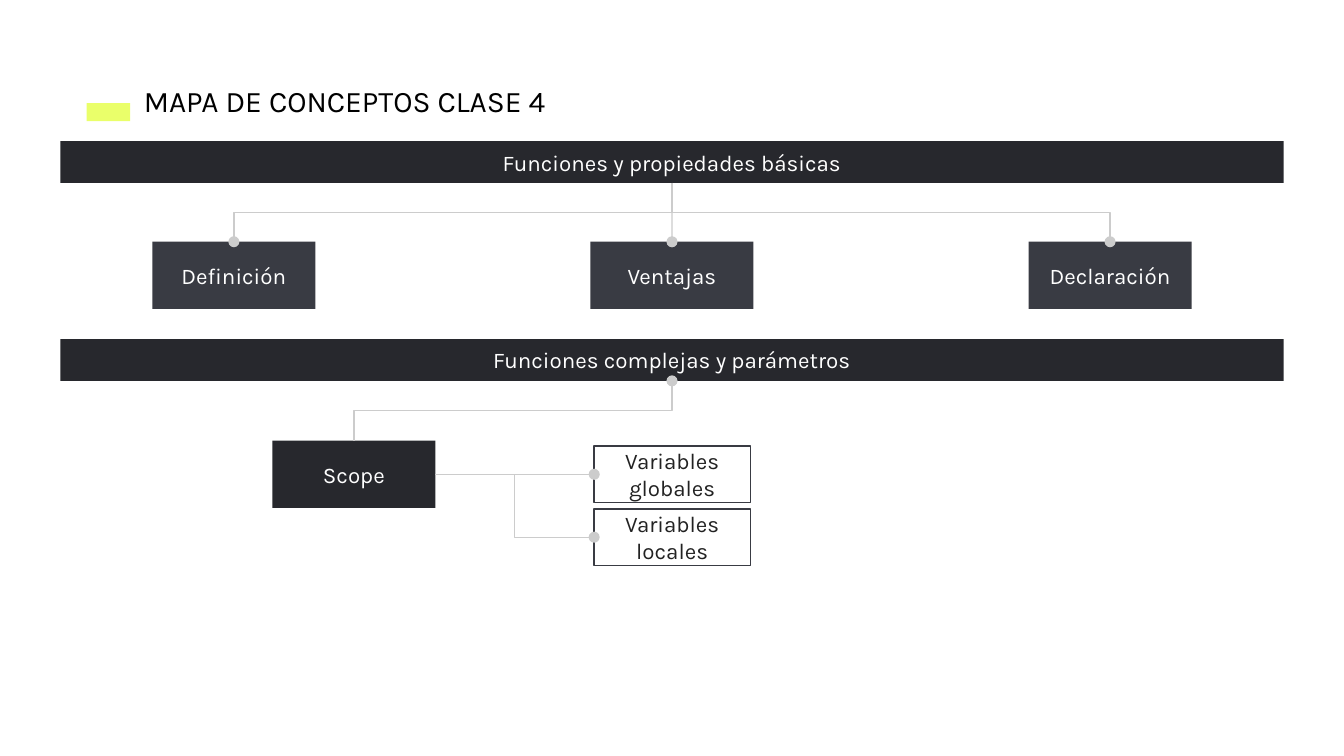
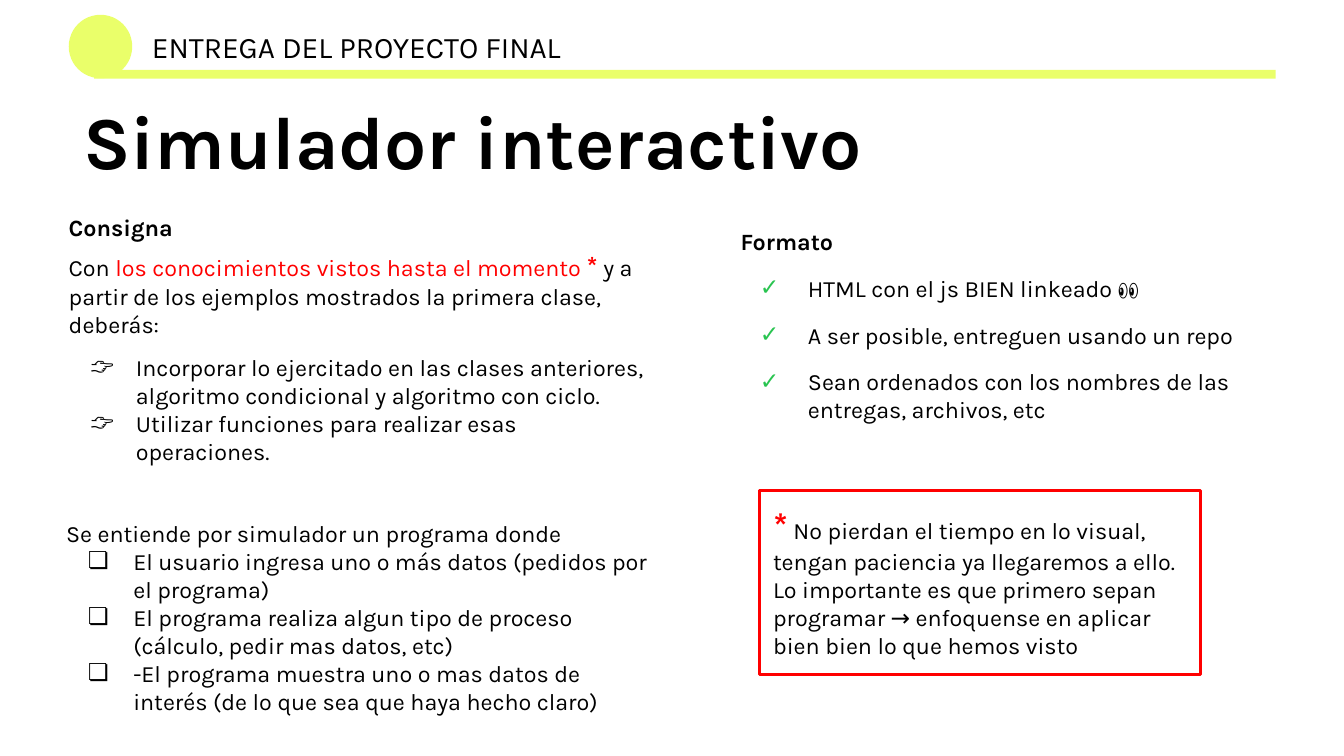
"""Builds two class slides: a concept map and the final project brief."""
from lxml.etree import SubElement
from pptx import Presentation
from pptx.dml.color import RGBColor
from pptx.enum.shapes import MSO_CONNECTOR, MSO_SHAPE
from pptx.enum.text import MSO_ANCHOR, PP_ALIGN
from pptx.oxml.ns import qn
from pptx.util import Cm, Pt

FONT = "Karla"
LIME = RGBColor(0xEA, 0xFF, 0x6A)
DARK = RGBColor(0x27, 0x28, 0x2D)
SLATE = RGBColor(0x39, 0x3B, 0x43)
GREY = RGBColor(0xCC, 0xCC, 0xCC)
INK = RGBColor(0x22, 0x22, 0x22)
BLACK = RGBColor(0, 0, 0)
WHITE = RGBColor(0xFF, 0xFF, 0xFF)
RED = RGBColor(0xFF, 0, 0)
GREEN = RGBColor(0x29, 0xC4, 0x50)
BODY = 12.5


def box(slide, x, y, w, h, fill=None, line=None, width=0.75, kind=MSO_SHAPE.RECTANGLE):
    place = Cm(x), Cm(y), Cm(w), Cm(h)
    if fill is None and line is None:
        shape = slide.shapes.add_textbox(*place)
    else:
        shape = slide.shapes.add_shape(kind, *place)
        shape.shadow.inherit = False
        if fill is None:
            shape.fill.background()
        else:
            shape.fill.solid()
            shape.fill.fore_color.rgb = fill
        if line is None:
            shape.line.fill.background()
        else:
            shape.line.color.rgb = line
            shape.line.width = Pt(width)
    frame = shape.text_frame
    frame.word_wrap = True
    frame.margin_left = frame.margin_right = Cm(0.25)
    frame.margin_top = frame.margin_bottom = Cm(0.25)
    return shape


def write(shape, text, size=BODY, color=BLACK, bold=False, align=PP_ALIGN.LEFT,
          mark=None, tint=BLACK, hang=0.86, before=0):
    frame = shape.text_frame
    para = frame.add_paragraph() if frame.text else frame.paragraphs[0]
    para.alignment = align
    if before:
        para.space_before = Pt(before)
    if mark:
        props = para._p.get_or_add_pPr()
        props.set("marL", str(Cm(1.27)))
        props.set("indent", str(-Cm(hang)))
        SubElement(SubElement(props, qn("a:buClr")), qn("a:srgbClr")).set("val", str(tint))
        SubElement(props, qn("a:buFont")).set("typeface", FONT)
        SubElement(props, qn("a:buChar")).set("char", mark)
    if isinstance(text, str):
        para.add_run().text = text
        styles = [(para.font, size, color, bold)]
    else:
        styles = []
        for words, *style in text:
            run = para.add_run()
            run.text = words
            styles.append((run.font, *style))
    for font, points, shade, heavy in styles:
        font.name = FONT
        font.size = Pt(points)
        font.color.rgb = shade
        font.bold = heavy
    return para


deck = Presentation()
deck.slide_width, deck.slide_height = Cm(25.4), Cm(14.29)
blank = deck.slide_layouts[6]
concepts = deck.slides.add_slide(blank)
project = deck.slides.add_slide(blank)

box(concepts, 1.64, 1.95, 0.82, 0.34, LIME)
box(project, 1.3, 0.28, 1.2, 1.2, LIME, kind=MSO_SHAPE.OVAL)
box(project, 1.78, 1.32, 22.33, 0.17, LIME)
for slide, x, y, title in [(concepts, 2.47, 1.31, "MAPA DE CONCEPTOS CLASE 4"),
                           (project, 2.62, 0.29, "ENTREGA DEL PROYECTO FINAL")]:
    write(box(slide, x, y, 9.04, 1.2), title, 16)

nodes = {}
cells = [("Funciones y propiedades básicas", 1.14, 2.67, 23.12, 0.79, DARK),
         ("Funciones complejas y parámetros", 1.14, 6.41, 23.12, 0.79, DARK),
         ("Scope", 5.15, 8.33, 3.08, 1.27, DARK)]
for i, name in enumerate(["Definición", "Ventajas", "Declaración"]):
    cells.append((name, 2.88 + i * 8.28, 4.57, 3.08, 1.27, SLATE))
for i, name in enumerate(["Variables globales", "Variables locales"]):
    cells.append((name, 11.23, 8.43 + i * 1.19, 2.95, 1.07, None))
for name, x, y, w, h, fill in cells:
    node = box(concepts, x, y, w, h, fill, None if fill else SLATE)
    node.text_frame.vertical_anchor = MSO_ANCHOR.MIDDLE
    write(node, name, 12, WHITE if fill else INK, align=PP_ALIGN.CENTER)
    nodes[name] = node

basics, complex_, scope = (nodes[cell[0]] for cell in cells[:3])
links = [(basics, nodes["Definición"], True, "a:tailEnd"),
         (basics, nodes["Ventajas"], True, "a:tailEnd"),
         (basics, nodes["Declaración"], True, "a:tailEnd"),
         (complex_, scope, True, "a:headEnd"),
         (scope, nodes["Variables globales"], False, "a:tailEnd"),
         (scope, nodes["Variables locales"], False, "a:tailEnd")]
for start, end, down, dot in links:
    if down:
        x1, y1 = start.left + start.width // 2, start.top + start.height
        x2, y2 = end.left + end.width // 2, end.top
    else:
        x1, y1 = start.left + start.width, start.top + start.height // 2
        x2, y2 = end.left, end.top + end.height // 2
    straight = abs(x2 - x1 if down else y2 - y1) < Cm(0.05)
    kind = MSO_CONNECTOR.STRAIGHT if straight else MSO_CONNECTOR.ELBOW
    turned = down and not straight
    if turned:
        mid_x, mid_y = (x1 + x2) // 2, (y1 + y2) // 2
        run, rise = (y2 - y1) // 2, (x1 - x2) // 2
        x1, y1, x2, y2 = mid_x - run, mid_y - rise, mid_x + run, mid_y + rise
    link = concepts.shapes.add_connector(kind, x1, y1, x2, y2)
    if straight:
        link.begin_connect(start, 2 if down else 3)
        link.end_connect(end, 0 if down else 1)
    link.line.color.rgb = GREY
    link.line.width = Pt(0.75)
    props = link._element.spPr
    if turned:
        props.find(qn("a:xfrm")).set("rot", "5400000")
    SubElement(props.find(qn("a:ln")), qn(dot)).set("type", "oval")
    SubElement(props, qn("a:effectLst"))

head = box(project, 1.32, 1.74, 20.29, 2.06)
write(head, "Simulador interactivo", 40, bold=True).line_spacing = 0.9

task = box(project, 1.05, 3.78, 11.48, 5.84)
write(task, "Consigna", bold=True)
write(task, [("Con ", BODY, BLACK, False),
             ("los conocimientos vistos hasta el momento ", BODY, RED, False),
             ("*", 14.5, RED, True),
             (" y a partir de los ejemplos mostrados la primera clase, deberás:",
              BODY, BLACK, False)], before=4.5)
write(task, "Incorporar lo ejercitado en las clases anteriores, algoritmo condicional y "
      "algoritmo con ciclo.", mark="👉", before=8)
write(task, "Utilizar funciones para realizar esas operaciones.", mark="👉")

form = box(project, 13.75, 4.05, 10.64, 4.65)
write(form, "Formato", bold=True)
for item in ["HTML con el js BIEN linkeado 👀",
             "A ser posible, entreguen usando un repo",
             "Sean ordenados con los nombres de las entregas, archivos, etc"]:
    write(form, item, mark="✓", tint=GREEN, hang=0.91, before=10)

note = box(project, 14.36, 9.27, 8.33, 3.48, line=RED, width=1.5)
note.text_frame.vertical_anchor = MSO_ANCHOR.TOP
write(note, [("*", 19.5, RED, True),
             (" No pierdan el tiempo en lo visual, tengan paciencia ya llegaremos a ello. "
              "Lo importante es que primero sepan programar → enfoquense en aplicar bien "
              "bien lo que hemos visto", BODY, BLACK, False)])

steps = box(project, 1, 9.56, 11.61, 4.24)
write(steps, "Se entiende por simulador un programa donde")
for item in ["El usuario ingresa uno o más datos (pedidos por el programa)",
             "El programa realiza algun tipo de proceso (cálculo, pedir mas datos, etc)",
             "-El programa muestra uno o mas datos de interés (de lo que sea que haya "
             "hecho claro)"]:
    write(steps, item, mark="❏")

deck.save("out.pptx")
